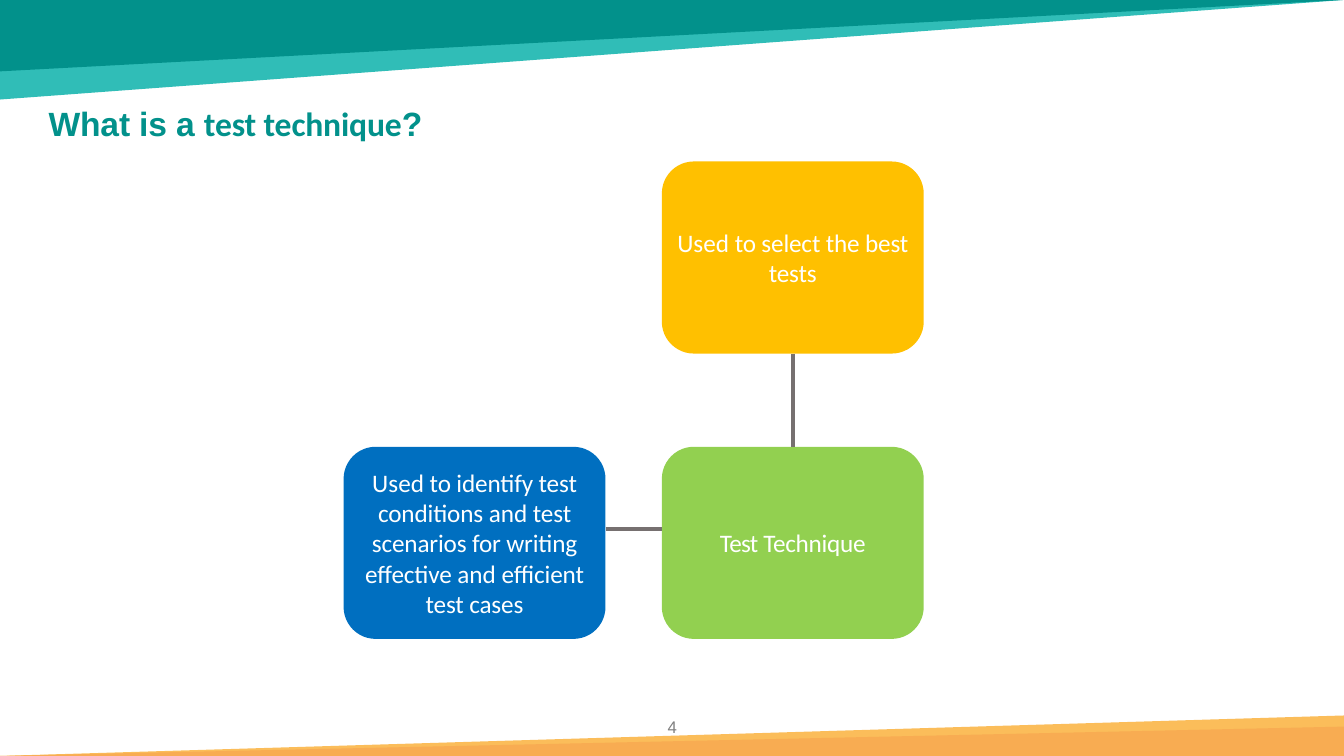
from lxml.etree import SubElement
from pptx import Presentation
from pptx.dml.color import RGBColor
from pptx.enum.shapes import MSO_CONNECTOR, MSO_SHAPE
from pptx.enum.text import MSO_ANCHOR, MSO_AUTO_SIZE, PP_ALIGN
from pptx.oxml.ns import qn
from pptx.util import Cm, Pt

TEAL = RGBColor(0x02, 0x91, 0x8B)
LIGHT_TEAL = RGBColor(0x30, 0xBD, 0xB7)
AMBER = RGBColor(0xFB, 0xBD, 0x5A)
ORANGE = RGBColor(0xF8, 0xAC, 0x52)
YELLOW = RGBColor(0xFF, 0xC0, 0x00)
GREEN = RGBColor(0x92, 0xD0, 0x50)
BLUE = RGBColor(0x00, 0x6F, 0xC0)
GRAY = RGBColor(0x80, 0x80, 0x80)
LINE_GRAY = RGBColor(0x76, 0x70, 0x70)
WHITE = RGBColor(0xFF, 0xFF, 0xFF)

TITLE = [("What is a ", "Arial", -10), ("test technique", "Calibri", -10), ("?", "Arial", -10)]
PAGE = [("4", "Arial", 0)]
BOXES = [
    (1, 1, GREEN, [("Test ", "Calibri", -50), ("Technique", "Calibri", -20)]),
    (1, 0, YELLOW, [("Used ", "Calibri", 0), ("to select the best tests", "Calibri", -10)]),
    (0, 1, BLUE, [
        ("Used ", "Calibri", 0), ("to identify test conditions ", "Calibri", -10),
        ("and ", "Calibri", 0), ("test scenarios for writing effective ", "Calibri", -10),
        ("and ", "Calibri", 0), ("efficient test cases", "Calibri", -10)]),
]
WEDGES = [
    (2.51, "top", LIGHT_TEAL),
    (1.8, "top", TEAL),
    (1.02, "bottom", AMBER),
    (0.74, "bottom", ORANGE),
]

SLIDE_W, SLIDE_H = 33.87, 19.05
LEFT, TOP = 8.66, 4.07
BOX_W, BOX_H = 6.6, 4.84
PITCH_X, PITCH_Y = 8.02, 7.19
SIDE_LINE_Y = 13.33


def set_all(target, values):
    for name, value in values.items():
        setattr(target, name, value)


def write(tf, runs, color, frame, para, font):
    set_all(tf, frame)
    p = tf.paragraphs[0]
    set_all(p, para)
    for text, face, spacing in runs:
        r = p.add_run()
        r.text = text
        set_all(r.font, {"name": face, **font})
        r.font.color.rgb = color
        r.font._element.set("spc", str(spacing))


def filled(s, kind, x, y, w, h, color):
    sp = s.shapes.add_shape(kind, Cm(x), Cm(y), Cm(w), Cm(h))
    sp.shadow.inherit = False
    sp.fill.solid()
    sp.fill.fore_color.rgb = color
    sp.line.fill.background()
    return sp


def link(s, x1, y1, x2, y2):
    line = s.shapes.add_connector(MSO_CONNECTOR.STRAIGHT, Cm(x1), Cm(y1), Cm(x2), Cm(y2))
    line.line.color.rgb = LINE_GRAY
    line.line.width = Pt(3)
    SubElement(line._element.spPr, qn("a:effectLst"))


def main():
    prs = Presentation()
    set_all(prs, {"slide_width": Cm(SLIDE_W), "slide_height": Cm(SLIDE_H)})
    s = prs.slides.add_slide(prs.slide_layouts[5])

    for height, edge, color in WEDGES:
        y = 0 if edge == "top" else SLIDE_H - height
        wedge = filled(s, MSO_SHAPE.RIGHT_TRIANGLE, 0, y, SLIDE_W, height, color)
        wedge._element.spPr.xfrm.set("flipV" if edge == "top" else "flipH", "1")

    page = s.shapes.add_textbox(Cm(16.1), Cm(17.93), Cm(1.68), Cm(0.76))
    write(page.text_frame, PAGE, GRAY, {"word_wrap": True},
          {"alignment": PP_ALIGN.CENTER}, {"size": Pt(12)})

    title = s.shapes.title
    set_all(title, {"left": Cm(0.97), "top": Cm(2.57), "width": Cm(22.33), "height": Cm(1.02)})
    write(title.text_frame, TITLE, TEAL,
          {"vertical_anchor": MSO_ANCHOR.TOP, "auto_size": MSO_AUTO_SIZE.NONE, "word_wrap": True},
          {"alignment": PP_ALIGN.LEFT, "line_spacing": 0.9}, {"size": Pt(24), "bold": True})

    for col, row, color, runs in BOXES:
        box = filled(s, MSO_SHAPE.ROUNDED_RECTANGLE, LEFT + col * PITCH_X,
                     TOP + row * PITCH_Y, BOX_W, BOX_H, color)
        write(box.text_frame, runs, WHITE,
              {"word_wrap": True, "vertical_anchor": MSO_ANCHOR.MIDDLE, "margin_left": 0,
               "margin_right": 0, "margin_top": 0, "margin_bottom": 0},
              {"alignment": PP_ALIGN.CENTER}, {"size": Pt(18)})

    center_x = LEFT + PITCH_X + BOX_W / 2
    link(s, center_x, TOP + BOX_H, center_x, TOP + PITCH_Y)
    link(s, LEFT + BOX_W, SIDE_LINE_Y, LEFT + PITCH_X, SIDE_LINE_Y)
    prs.save("out.pptx")


if __name__ == "__main__":
    main()
